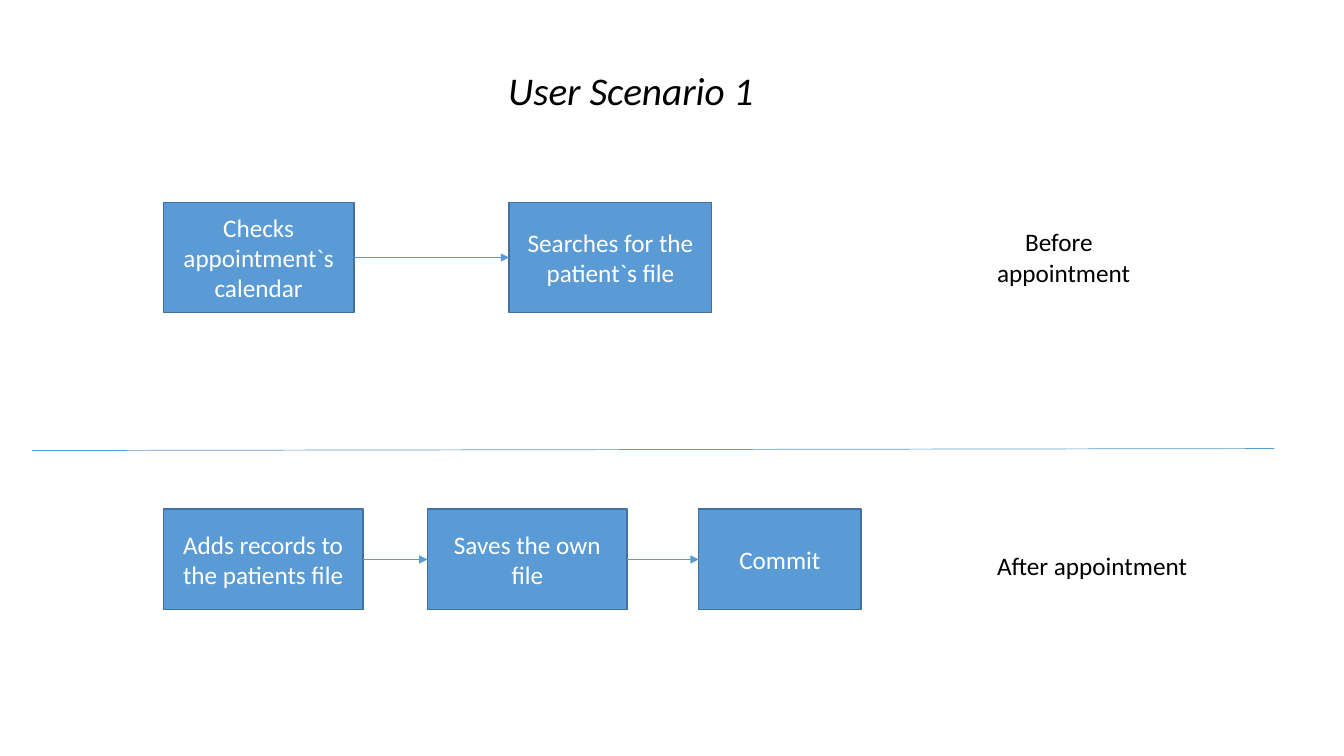
from lxml.etree import SubElement
from pptx import Presentation
from pptx.dml.color import RGBColor
from pptx.enum.shapes import MSO_CONNECTOR as CONN, MSO_SHAPE as SHAPE
from pptx.enum.text import MSO_ANCHOR as ANCHOR, MSO_AUTO_SIZE as AUTO, PP_ALIGN as ALIGN
from pptx.oxml.ns import qn
from pptx.util import Inches, Pt

BLUE = RGBColor(0x5B, 0x9B, 0xD5)
EDGE = RGBColor(0x41, 0x71, 0x9C)
WHITE = RGBColor(0xFF, 0xFF, 0xFF)
BLACK = RGBColor(0, 0, 0)
FONT = "Calibri"

TITLE = ("User Scenario 1", (4.94, 0.61, 3.09, 0.57))
STAGES = [
    {"top": 2.01, "height": 1.09,
     "steps": [("Checks appointment`s calendar", 1.62, 1.89),
               ("Searches for the patient`s file", 5.05, 2.01)],
     "label": ("Before appointment", (9.79, 2.2, 1.68, 0.71), 0.28)},
    {"top": 5.05, "height": 1,
     "steps": [("Adds records to the patients file", 1.62, 1.98),
               ("Saves the own file", 4.24, 1.98),
               ("Commit", 6.93, 1.61)],
     "label": ("After appointment", (9.79, 5.41, 2.12, 0.4), 0)},
]
DIVIDER = (0.32, 4.47, 12.64, 4.45)


def set_text(sp, text, size, color, align, anchor, italic=False):
    tf = sp.text_frame
    tf.text = text
    tf.word_wrap = True
    tf.auto_size = AUTO.NONE
    tf.vertical_anchor = anchor
    p = tf.paragraphs[0]
    p.alignment = align
    p.font.name, p.font.size, p.font.italic = FONT, Pt(size), italic
    p.font.color.rgb = color
    return p


def add_step(s, text, x, y, w, h):
    sp = s.shapes.add_shape(SHAPE.RECTANGLE, *map(Inches, (x, y, w, h)))
    sp.shadow.inherit = False
    sp.fill.solid()
    sp.fill.fore_color.rgb = BLUE
    sp.line.color.rgb = EDGE
    sp.line.width = Pt(1)
    set_text(sp, text, 18, WHITE, ALIGN.CENTER, ANCHOR.MIDDLE)
    return sp


def add_line(s, x1, y1, x2, y2):
    line = s.shapes.add_connector(CONN.STRAIGHT, *map(Inches, (x1, y1, x2, y2)))
    line.line.color.rgb = BLUE
    line.line.width = Pt(0.5)
    SubElement(line._element.spPr, qn("a:effectLst"))
    return line


def add_arrow(s, start, end):
    arrow = add_line(s, 0, 0, 1, 0)
    arrow.begin_connect(start, 3)
    arrow.end_connect(end, 1)
    SubElement(arrow.line._get_or_add_ln(), qn("a:tailEnd"), type="triangle")


def add_label(s, text, box, indent):
    sp = s.shapes.add_textbox(*map(Inches, box))
    p = set_text(sp, text, 18, BLACK, ALIGN.LEFT, ANCHOR.TOP)
    p._p.get_or_add_pPr().set("indent", str(Inches(indent)))


def main():
    prs = Presentation()
    prs.slide_width, prs.slide_height = Inches(13.33), Inches(7.5)
    s = prs.slides.add_slide(prs.slide_layouts[5])

    text, box = TITLE
    title = s.shapes.title
    title.left, title.top, title.width, title.height = map(Inches, box)
    set_text(title, text, 28, BLACK, ALIGN.LEFT, ANCHOR.TOP, italic=True)

    for stage in STAGES:
        steps = [add_step(s, text, x, stage["top"], w, stage["height"])
                 for text, x, w in stage["steps"]]
        for start, end in zip(steps, steps[1:]):
            add_arrow(s, start, end)
        add_label(s, *stage["label"])
    add_line(s, *DIVIDER)

    prs.save("out.pptx")


if __name__ == "__main__":
    main()
